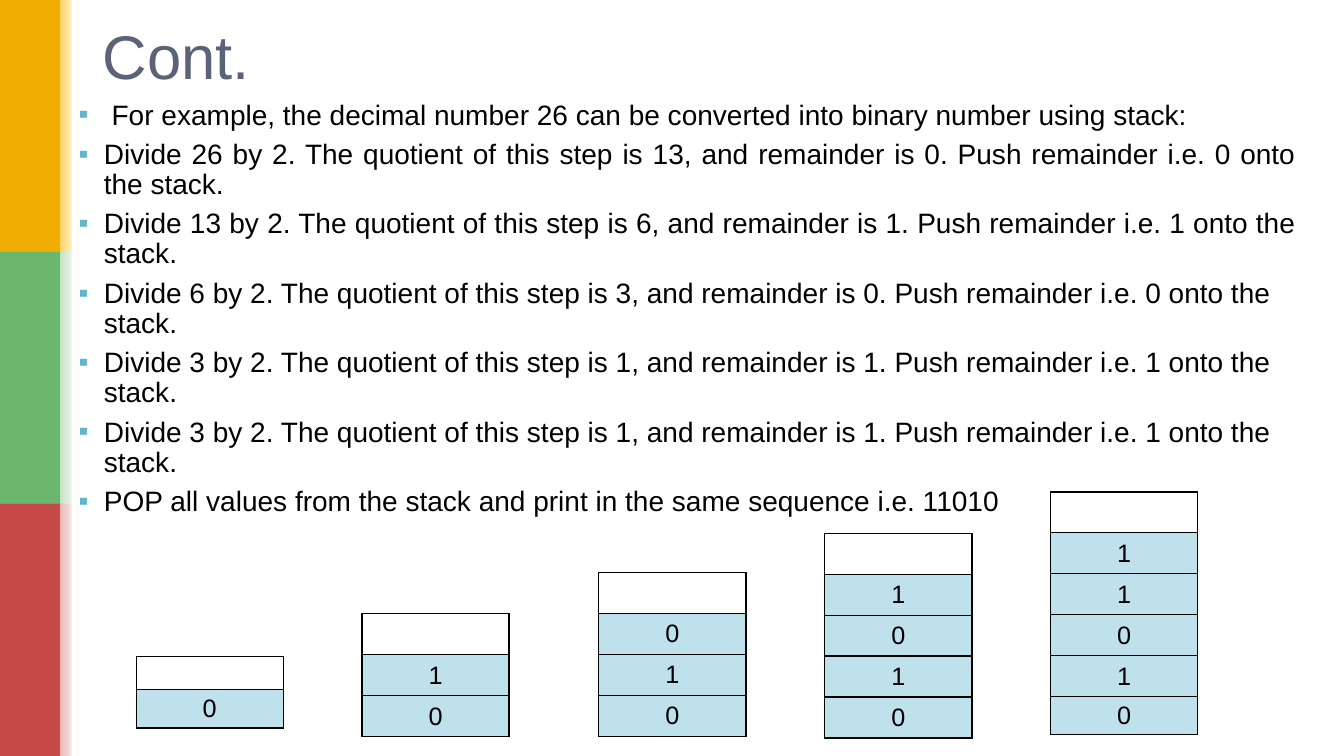
from lxml import etree
from pptx import Presentation
from pptx import util as u
from pptx.dml.color import RGBColor
from pptx.enum import shapes, text
from pptx.oxml import ns

WIDE, HIGH = u.Inches(13.33), u.Inches(7.5)
HUES = {"ink": "000000", "title": "5A6378", "mark": "60B5CC",
        "cell": "BFE1EB", "white": "FFFFFF"}
BANDS = [("F0AD00", "FFD25D"), ("6BB76D", "C4E2C5"), ("C64847", "E8B6B5")]
ROW = 5.42
STEPS = [(26, 13, 0), (13, 6, 1), (6, 3, 0), (3, 1, 1), (3, 1, 1)]
STACKS = [
    (10.13, 86.8, "0", 4.4, 5.1),
    (26.93, 81.2, "10", ROW, ROW),
    (44.56, 75.73, "010", ROW, ROW),
    (61.37, 70.53, "1010", ROW, ROW),
    (78.17, 65.07, "11010", ROW, 5.03),
]


def rgb(hue):
    """Turn a hex string into a colour."""
    return RGBColor.from_string(hue)


def area(x, y, w, h):
    """Turn percentages of the slide into left, top, width and height."""
    return [int(WIDE * x / 100), int(HIGH * y / 100),
            int(WIDE * w / 100), int(HIGH * h / 100)]


def place(item, box):
    """Move and size a placeholder."""
    item.left, item.top, item.width, item.height = box


def write(para, words, size, hue):
    """Add one formatted run."""
    run = para.add_run()
    run.text = words
    run.font.name, run.font.size = "Arial", u.Pt(size)
    run.font.color.rgb = rgb(hue)


def node(root, tag, **attrs):
    """Append a drawing element."""
    return etree.SubElement(root, ns.qn(tag), attrs)


def block(slide, box, hue, fade=None):
    """Draw a plain rectangle, or one that fades to the right."""
    rect = slide.shapes.add_shape(shapes.MSO_SHAPE.RECTANGLE, *box)
    rect.shadow.inherit = False
    rect.line.fill.background()
    if fade:
        rect.fill.gradient()
        rect.fill.gradient_angle = 0
        for stop, tone in zip(rect.fill.gradient_stops, (hue, fade)):
            stop.color.rgb = rgb(tone)
    else:
        rect.fill.solid()
        rect.fill.fore_color.rgb = rgb(hue)


def bands(slide):
    """Draw the side bands and their soft edges."""
    part = 100 / len(BANDS)
    for i, (hue, soft) in enumerate(BANDS):
        block(slide, area(0, i * part, 4.65, part), hue)
        block(slide, area(4.43, i * part, 1.5, part), soft, HUES["white"])
    block(slide, area(5.33, 0, 0.38, 100), HUES["white"])


def bullet(para, words, align):
    """Fill one list item."""
    para.alignment = align
    para.line_spacing, para.space_before = 0.9, u.Pt(6.4)
    prop = para._p.get_or_add_pPr()
    prop.set("marL", str(u.Inches(0.25)))
    prop.set("indent", str(-u.Inches(0.25)))
    node(node(prop, "a:buClr"), "a:srgbClr", val=HUES["mark"])
    node(prop, "a:buFont", typeface="Arial")
    node(prop, "a:buChar", char="▪")
    write(para, words, 20, HUES["ink"])


def items(frame):
    """Write the list of steps."""
    lines = [" For example, the decimal number 26 can be converted into "
             "binary number using stack: "]
    lines += [f"Divide {n} by 2. The quotient of this step is {q}, and "
              f"remainder is {r}. Push remainder i.e. {r} onto the stack."
              for n, q, r in STEPS]
    lines.append("POP all values from the stack and print in the same "
                 "sequence i.e. 11010")
    frame.auto_size = text.MSO_AUTO_SIZE.NONE
    for i, line in enumerate(lines):
        para = frame.add_paragraph() if i else frame.paragraphs[0]
        align = text.PP_ALIGN.JUSTIFY if i < 3 else text.PP_ALIGN.LEFT
        bullet(para, line, align)


def edge(cell):
    """Draw the four borders of a cell."""
    prop = cell._tc.get_or_add_tcPr()
    for side in "LRTB":
        line = node(prop, f"a:ln{side}", w=str(u.Pt(1)))
        node(node(line, "a:solidFill"), "a:srgbClr", val=HUES["ink"])


def stack(slide, x, y, digits, first, last):
    """Draw a stack with a free cell on top."""
    rows = [first] + [ROW] * (len(digits) - 1) + [last]
    frame = slide.shapes.add_table(len(rows), 1, *area(x, y, 10.95, sum(rows)))
    grid = frame.table
    grid.first_row = grid.horz_banding = False
    for i, (size, digit) in enumerate(zip(rows, ["", *digits])):
        grid.rows[i].height = int(HIGH * size / 100)
        cell = grid.cell(i, 0)
        cell.margin_top = cell.margin_bottom = 0
        cell.vertical_anchor = text.MSO_ANCHOR.MIDDLE
        edge(cell)
        if digit:
            cell.fill.solid()
            cell.fill.fore_color.rgb = rgb(HUES["cell"])
            para = cell.text_frame.paragraphs[0]
            para.alignment = text.PP_ALIGN.CENTER
            write(para, digit, 18, HUES["ink"])
        else:
            cell.fill.background()


def main():
    """Build the slide and save it."""
    deck = Presentation()
    deck.slide_width, deck.slide_height = WIDE, HIGH
    slide = deck.slides.add_slide(deck.slide_layouts[1])
    title, body = slide.placeholders
    bands(slide)
    place(title, area(6.9, 1.73, 86.27, 11.07))
    title.text_frame.vertical_anchor = text.MSO_ANCHOR.MIDDLE
    head = title.text_frame.paragraphs[0]
    head.alignment = text.PP_ALIGN.LEFT
    write(head, "Cont.", 44, HUES["title"])
    place(body, area(5.1, 12.67, 92.12, 63.47))
    items(body.text_frame)
    for entry in STACKS:
        stack(slide, *entry)
    deck.save("out.pptx")


if __name__ == "__main__":
    main()
